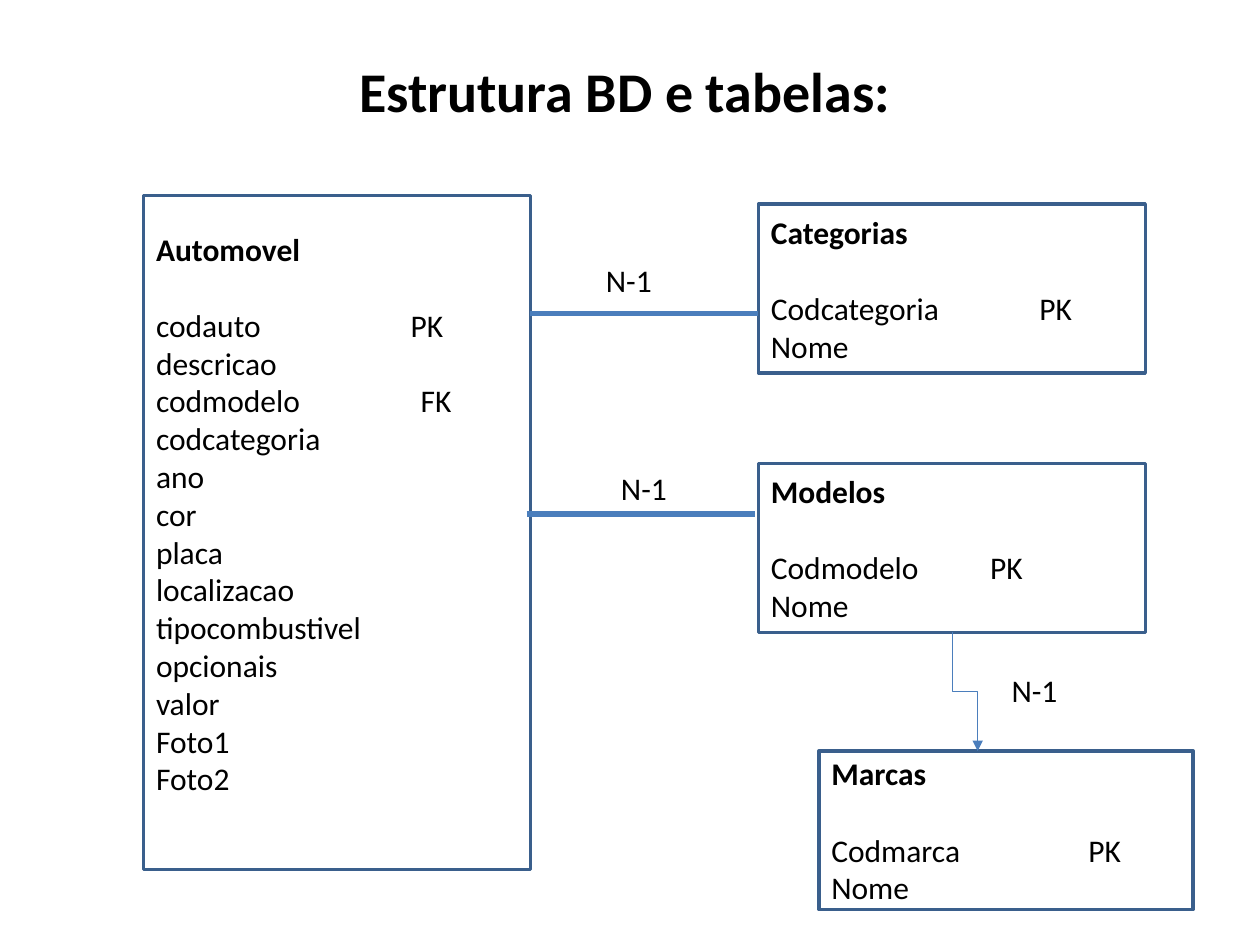
from pptx import Presentation
from pptx.dml.color import RGBColor
from pptx.enum.shapes import MSO_CONNECTOR, MSO_SHAPE
from pptx.enum.text import MSO_ANCHOR, MSO_AUTO_SIZE, PP_ALIGN
from pptx.oxml.ns import qn
from pptx.util import Inches, Pt
from lxml.etree import SubElement

BLACK = RGBColor(0x00, 0x00, 0x00)
BORDER = RGBColor(0x3A, 0x5F, 0x8C)
LINK = RGBColor(0x4B, 0x7E, 0xBC)
FONT = "Calibri"
LINE_PT = 22  # one line of 18 pt text

TITLE = "Estrutura BD e tabelas:"
# name, (left, top, width, height), bottom inset, [(field, key, key offset)]
ENTITIES = [
    ("Automovel", (1.14, 1.55, 3.07, 5.35), 0.35, [
        ("codauto", "PK", 2.02), ("descricao",), ("codmodelo", "FK", 2.1),
        ("codcategoria",), ("ano",), ("cor",), ("placa",), ("localizacao",),
        ("tipocombustivel",), ("opcionais",), ("valor",), ("Foto1",), ("Foto2",)]),
    ("Categorias", (6.02, 1.62, 3.07, 1.34), 0.05,
     [("Codcategoria", "PK", 2.13), ("Nome",)]),
    ("Marcas", (6.5, 5.96, 2.97, 1.26), 0.05,
     [("Codmarca", "PK", 2.04), ("Nome",)]),
    ("Modelos", (6.02, 3.68, 3.07, 1.34), 0.05,
     [("Codmodelo", "PK", 1.74), ("Nome",)]),
]
RELATIONS = [((4.21, 2.49), (6.02, 2.49)), ((4.18, 4.08), (5.99, 4.08))]
BRAND_RELATION = ((7.56, 5.02), (7.76, 5.96))
CARDINALITY = "N-1"
CARDINALITY_SPOTS = [(4.71, 2.02), (4.83, 3.67), (7.93, 5.28)]


def style(paragraph, size=18, bold=False):
    """Format every run of a paragraph."""
    for run in paragraph.runs:
        run.font.name, run.font.size, run.font.bold = FONT, Pt(size), bold
        run.font.color.rgb = BLACK


def add_tab(paragraph, offset):
    """Give a paragraph one left tab stop."""
    stops = SubElement(paragraph._p.get_or_add_pPr(), qn("a:tabLst"))
    SubElement(stops, qn("a:tab"), pos=str(Inches(offset)), algn="l")


def add_entity(slide, name, box, bottom, fields):
    """Draw a database table with its name and fields."""
    entity = slide.shapes.add_shape(MSO_SHAPE.RECTANGLE, *map(Inches, box))
    entity.shadow.inherit = False
    entity.fill.background()
    entity.line.color.rgb, entity.line.width = BORDER, Pt(2)
    frame = entity.text_frame
    frame.word_wrap = True
    frame.vertical_anchor = MSO_ANCHOR.MIDDLE
    frame.margin_bottom = Inches(bottom)
    heading = frame.paragraphs[0]
    heading.text = name
    heading.alignment = PP_ALIGN.LEFT
    heading.space_after = Pt(LINE_PT)
    style(heading, bold=True)
    for field, *key in fields:
        row = frame.add_paragraph()
        row.alignment = PP_ALIGN.LEFT
        row.text = field
        if key:
            row.text = f"{field}\t{key[0]}"
            add_tab(row, key[1])
        style(row)


def add_link(slide, kind, start, end, width):
    """Draw a connector without shadow."""
    link = slide.shapes.add_connector(kind, *map(Inches, (*start, *end)))
    link.line.color.rgb, link.line.width = LINK, Pt(width)
    SubElement(link._element.spPr, qn("a:effectLst"))
    return link


def add_vertical_elbow(slide, start, end):
    """Draw an elbow arrow that leaves and arrives vertically."""
    (x1, y1), (x2, y2) = start, end
    mid_x, mid_y = (x1 + x2) / 2, (y1 + y2) / 2
    half_run, half_step = (y2 - y1) / 2, (x2 - x1) / 2
    elbow = add_link(slide, MSO_CONNECTOR.ELBOW,
                     (mid_x + half_run, mid_y - half_step),
                     (mid_x - half_run, mid_y + half_step), 0.75)
    elbow._element.spPr.find(qn("a:xfrm")).set("rot", str(270 * 60000))
    SubElement(elbow.line._get_or_add_ln(), qn("a:tailEnd"), type="triangle")


def add_cardinality(slide, left, top):
    """Write the cardinality beside a relation."""
    label = slide.shapes.add_textbox(*map(Inches, (left, top, 0.79, 0.4)))
    frame = label.text_frame
    frame.word_wrap = True
    frame.auto_size = MSO_AUTO_SIZE.SHAPE_TO_FIT_TEXT
    frame.text = CARDINALITY
    style(frame.paragraphs[0])


def add_title(slide):
    """Fill the title placeholder and drop the empty subtitle."""
    title = slide.shapes.title
    title.left, title.top, title.width, title.height = map(
        Inches, (0.43, 0.44, 9.06, 0.55))
    frame = title.text_frame
    frame.text = TITLE
    frame.vertical_anchor = MSO_ANCHOR.MIDDLE
    frame.paragraphs[0].alignment = PP_ALIGN.CENTER
    style(frame.paragraphs[0], 32, True)
    subtitle = slide.placeholders[1]._element
    subtitle.getparent().remove(subtitle)


deck = Presentation()
deck.slide_width, deck.slide_height = Inches(10), Inches(7.5)
slide = deck.slides.add_slide(deck.slide_layouts[0])
add_title(slide)
for entity in ENTITIES:
    add_entity(slide, *entity)
for start, end in RELATIONS:
    add_link(slide, MSO_CONNECTOR.STRAIGHT, start, end, 3)
add_vertical_elbow(slide, *BRAND_RELATION)
for spot in CARDINALITY_SPOTS:
    add_cardinality(slide, *spot)
deck.save("out.pptx")
